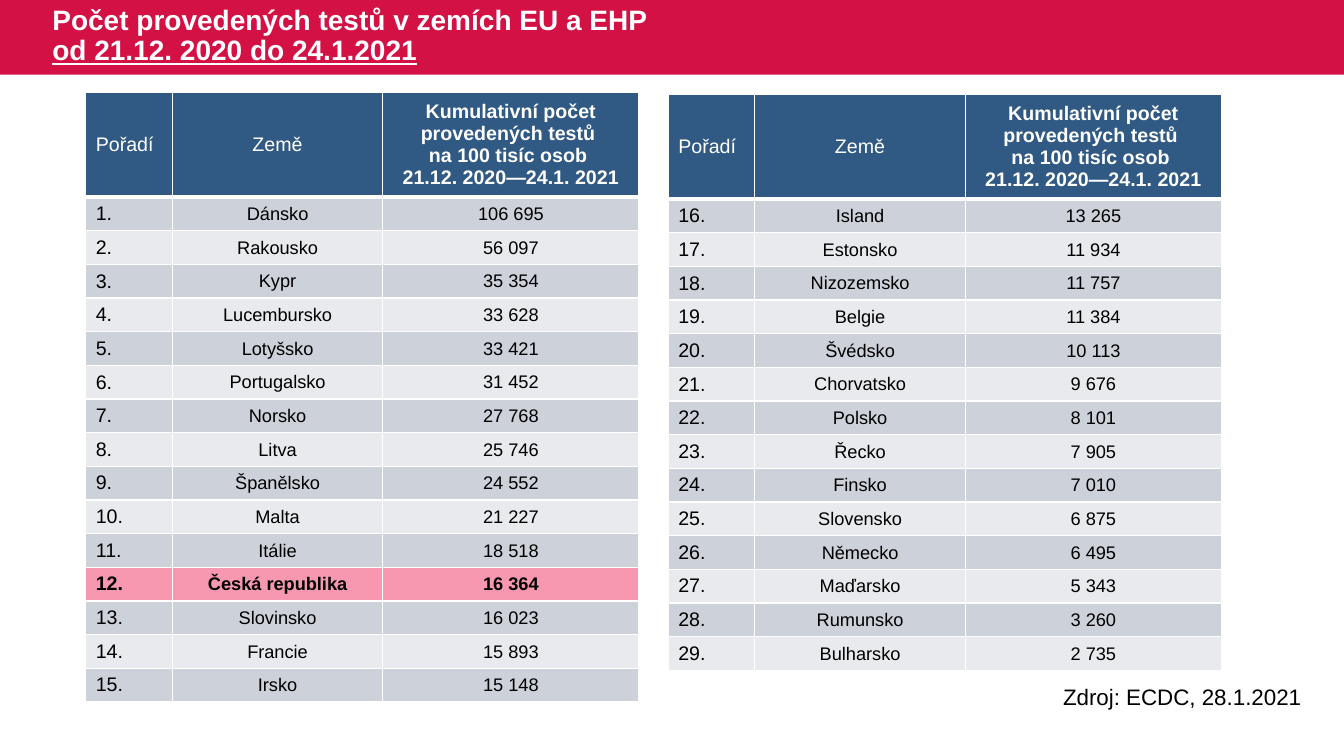
from lxml import etree
from pptx import Presentation
from pptx.dml.color import RGBColor
from pptx.enum.shapes import MSO_SHAPE
from pptx.enum.text import MSO_ANCHOR, PP_ALIGN
from pptx.oxml.ns import qn
from pptx.util import Cm, Pt

RECTANGLE = MSO_SHAPE.RECTANGLE
MIDDLE = MSO_ANCHOR.MIDDLE
LEFT, CENTER = PP_ALIGN.LEFT, PP_ALIGN.CENTER

RED, NAVY, PINK = "D31145", "305983", "F797B0"
DARK_BAND, LIGHT_BAND = "CDD1D9", "E8EAED"
WHITE, BLACK = "FFFFFF", "000000"

COLUMN_WIDTHS = (2.18, 5.31, 6.45)
HEADER_HEIGHT, ROW_HEIGHT = 2.46, 0.81
HIGHLIGHTED = "Česká republika"
HEADINGS = (
    ["Pořadí"],
    ["Země"],
    ["Kumulativní počet provedených testů ", "na 100 tisíc osob ", "21.12. 2020—24.1. 2021"],
)
COUNTRIES = [
    ("Dánsko", "106 695"), ("Rakousko", "56 097"), ("Kypr", "35 354"),
    ("Lucembursko", "33 628"), ("Lotyšsko", "33 421"), ("Portugalsko", "31 452"),
    ("Norsko", "27 768"), ("Litva", "25 746"), ("Španělsko", "24 552"),
    ("Malta", "21 227"), ("Itálie", "18 518"), ("Česká republika", "16 364"),
    ("Slovinsko", "16 023"), ("Francie", "15 893"), ("Irsko", "15 148"),
    ("Island", "13 265"), ("Estonsko", "11 934"), ("Nizozemsko", "11 757"),
    ("Belgie", "11 384"), ("Švédsko", "10 113"), ("Chorvatsko", "9 676"),
    ("Polsko", "8 101"), ("Řecko", "7 905"), ("Finsko", "7 010"),
    ("Slovensko", "6 875"), ("Německo", "6 495"), ("Maďarsko", "5 343"),
    ("Rumunsko", "3 260"), ("Bulharsko", "2 735"),
]
FIRST_TABLE_SIZE = 15


def color(value):
    return RGBColor.from_string(value)


def add_span(para, text, size, ink, bold=False, underline=False):
    span = para.add_run()
    span.text = text
    span.font.name = "Arial"
    span.font.size = Pt(size)
    span.font.bold = bold
    span.font.underline = underline
    span.font.color.rgb = color(ink)


def add_box(page, left, top, width, height):
    box = page.shapes.add_textbox(Cm(left), Cm(top), Cm(width), Cm(height))
    box.text_frame.word_wrap = True
    return box.text_frame


def add_banner(page, width):
    banner = page.shapes.add_shape(RECTANGLE, 0, 0, width, Cm(1.88))
    banner.shadow.inherit = False
    banner.fill.solid()
    banner.fill.fore_color.rgb = color(RED)
    banner.line.fill.background()


def add_title(page):
    frame = add_box(page, 1.07, 0, 20.73, 1.85)
    frame.vertical_anchor = MIDDLE
    para = frame.paragraphs[0]
    para.line_spacing = 0.9
    add_span(para, "Počet provedených testů v zemích EU a EHP ", 20, WHITE, True)
    para.add_line_break()
    add_span(para, "od 21.12. 2020 do 24.1.2021", 20, WHITE, True, True)


def add_borders(cell, bottom_width):
    properties = cell._tc.get_or_add_tcPr()
    for side, width in (("L", 1), ("R", 1), ("T", 1), ("B", bottom_width)):
        line = etree.SubElement(properties, qn(f"a:ln{side}"), w=str(Pt(width)))
        fill = etree.SubElement(line, qn("a:solidFill"))
        etree.SubElement(fill, qn("a:srgbClr"), val=WHITE)


def fill_cell(cell, lines, align, size, ink, fill, bold, bottom_width=1):
    add_borders(cell, bottom_width)
    cell.fill.solid()
    cell.fill.fore_color.rgb = color(fill)
    cell.vertical_anchor = MIDDLE
    frame = cell.text_frame
    for index, text in enumerate(lines):
        para = frame.add_paragraph() if index else frame.paragraphs[0]
        para.alignment = align
        add_span(para, text, size, ink, bold)


def add_ranking(page, left, top, first_rank, countries):
    height = HEADER_HEIGHT + ROW_HEIGHT * len(countries)
    table = page.shapes.add_table(
        len(countries) + 1, len(COLUMN_WIDTHS),
        Cm(left), Cm(top), Cm(sum(COLUMN_WIDTHS)), Cm(height),
    ).table
    for column, width in zip(table.columns, COLUMN_WIDTHS):
        column.width = Cm(width)
    for index, row in enumerate(table.rows):
        row.height = Cm(ROW_HEIGHT if index else HEADER_HEIGHT)

    for column, lines in enumerate(HEADINGS):
        align = CENTER if column else LEFT
        fill_cell(table.cell(0, column), lines, align, 14, WHITE, NAVY, column == 2, 3)

    for index, (country, tests) in enumerate(countries):
        highlighted = country == HIGHLIGHTED
        band = LIGHT_BAND if index % 2 else DARK_BAND
        fill = PINK if highlighted else band
        for column, text in enumerate((f"{first_rank + index}.", country, tests)):
            cell = table.cell(index + 1, column)
            align, size = (CENTER, 13) if column else (LEFT, 14)
            if column:
                cell.margin_left = cell.margin_right = cell.margin_top = Cm(0.02)
                cell.margin_bottom = 0
            fill_cell(cell, [text], align, size, BLACK, fill, highlighted)


def add_source(page):
    frame = add_box(page, 26.54, 17.09, 7.95, 0.94)
    add_span(frame.paragraphs[0], "Zdroj: ECDC, 28.1.2021", 16, BLACK)


def main():
    deck = Presentation()
    deck.slide_width, deck.slide_height = Cm(33.87), Cm(19.05)
    page = deck.slides.add_slide(deck.slide_layouts[6])
    add_banner(page, deck.slide_width)
    add_title(page)
    add_ranking(page, 2.16, 2.34, 1, COUNTRIES[:FIRST_TABLE_SIZE])
    add_ranking(page, 16.84, 2.39, FIRST_TABLE_SIZE + 1, COUNTRIES[FIRST_TABLE_SIZE:])
    add_source(page)
    deck.save("out.pptx")


if __name__ == "__main__":
    main()
